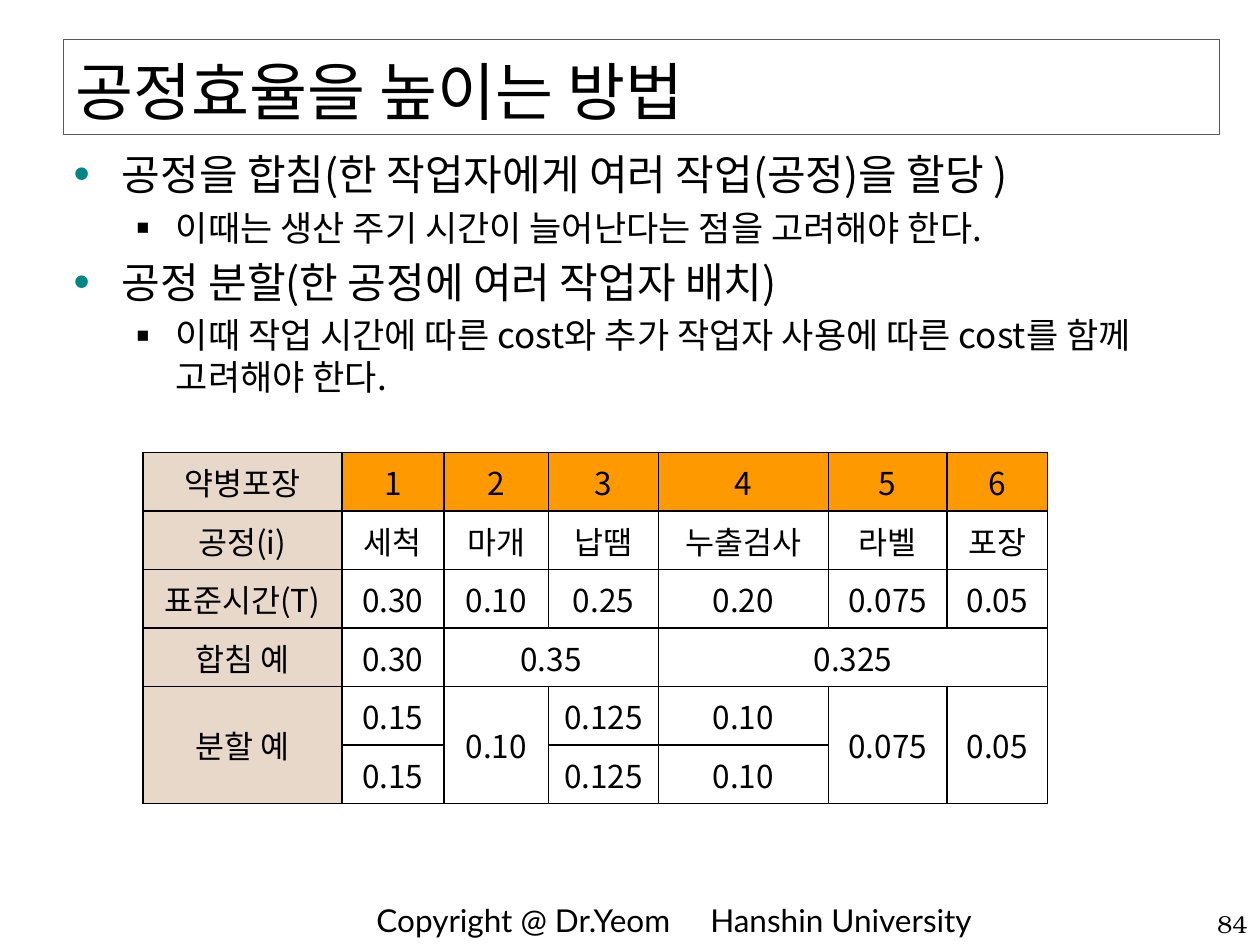
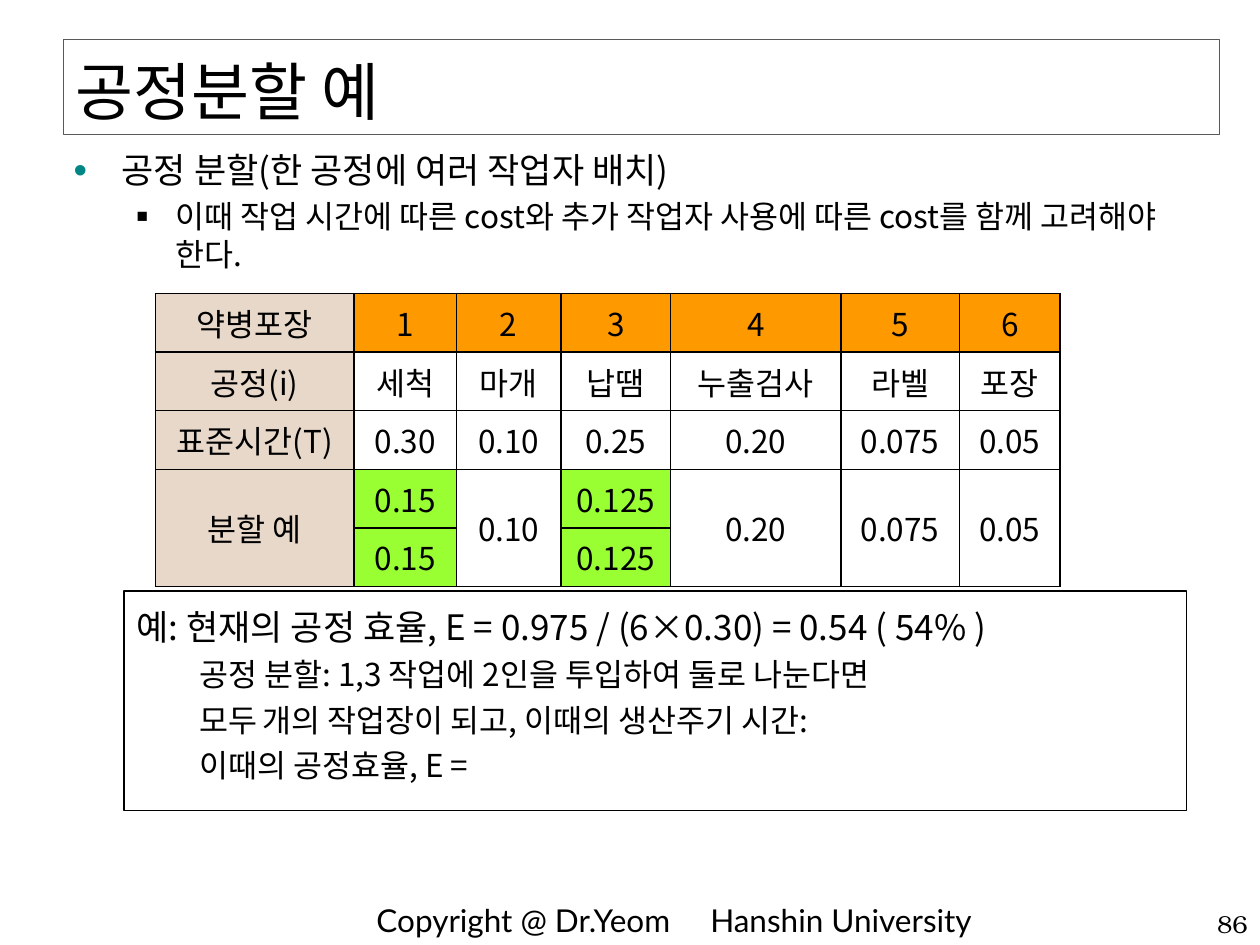
from lxml.etree import SubElement
from pptx import Presentation
from pptx.dml.color import RGBColor
from pptx.enum.shapes import MSO_SHAPE
from pptx.enum.text import MSO_ANCHOR, MSO_AUTO_SIZE, PP_ALIGN
from pptx.oxml.ns import qn
from pptx.util import Cm, Pt

SANS, FOOT, SERIF = "Noto Sans CJK KR", "Lato", "TeX Gyre Bonum"
BLACK, GRAY, WHITE = "000000", "595959", "FFFFFF"
TEAL, TAN, GOLD, LIME = "008685", "E8D8CA", "FF9900", "99FF33"
LEFT, MID, RIGHT, FULL = PP_ALIGN.LEFT, PP_ALIGN.CENTER, PP_ALIGN.RIGHT, PP_ALIGN.JUSTIFY

BULLETS = [("•", TEAL, 110, 0.97, -0.97), ("■", BLACK, 60, 2.06, -0.79)]
COLS = [4.01, 2.06, 2.11, 2.21, 3.43, 2.39, 2.03]
ROW = 1.18

SPLIT = [
    (0, "공정 분할(한 공정에 여러 작업자 배치)"),
    (1, "이때 작업 시간에 따른 cost와 추가 작업자 사용에 따른 cost를 함께 고려해야 한다."),
]
STEPS = [
    ["약병포장", "1", "2", "3", "4", "5", "6"],
    ["공정(i)", "세척", "마개", "납땜", "누출검사", "라벨", "포장"],
    ["표준시간(T)", "0.30", "0.10", "0.25", "0.20", "0.075", "0.05"],
]
PAGES = [
    {
        "title": "공정효율을 높이는 방법",
        "page": "84",
        "sizes": (24, 20),
        "points": [
            (0, "공정을 합침(한 작업자에게 여러 작업(공정)을 할당 )"),
            (1, "이때는 생산 주기 시간이 늘어난다는 점을 고려해야 한다."),
        ] + SPLIT,
        "spot": (2.88, 9.12),
        "rows": STEPS + [
            ["합침 예", "0.30", "0.35", "<", "0.325", "<", "<"],
            ["분할 예", "0.15", "0.10", "0.125", "0.10", "0.075", "0.05"],
            ["^", "0.15", "^", "0.125", "0.10", "^", "^"],
        ],
        "marked": (),
        "notes": [],
    },
    {
        "title": "공정분할 예",
        "page": "86",
        "sizes": (20, 18),
        "points": SPLIT,
        "spot": (3.13, 5.92),
        "rows": STEPS + [
            ["분할 예", "0.15", "0.10", "0.125", "0.20", "0.075", "0.05"],
            ["^", "0.15", "^", "0.125", "^", "^", "^"],
        ],
        "marked": ("0.15", "0.125"),
        "notes": [
            (0, "예: 현재의 공정 효율, E = 0.975 / (6×0.30) = 0.54 ( 54% )"),
            (1, "공정 분할: 1,3 작업에 2인을 투입하여 둘로 나눈다면"),
            (1, "모두\t개의 작업장이 되고, 이때의 생산주기 시간:"),
            (1, "이때의 공정효율, E ="),
        ],
    },
]


def tint(code):
    return RGBColor.from_string(code)


def place(shape, x, y, w, h):
    shape.left, shape.top, shape.width, shape.height = Cm(x), Cm(y), Cm(w), Cm(h)


def write(frame, text, size=18, face=SANS, align=LEFT, level=0, lead=None,
          gap=0, inset=None, bullet=None, tab=None):
    first = not frame.paragraphs[0].runs
    para = frame.paragraphs[0] if first else frame.add_paragraph()
    para.alignment, para.level = align, level
    para.space_before = Pt(0 if first else gap)
    if lead:
        para.line_spacing = lead
    props = para._p.get_or_add_pPr()
    if bullet:
        char, color, scale, margin, indent = bullet
        props.set("marL", str(Cm(margin)))
        props.set("indent", str(Cm(indent)))
        SubElement(SubElement(props, qn("a:buClr")), qn("a:srgbClr"), val=color)
        SubElement(props, qn("a:buSzPct"), val=str(scale * 1000))
        SubElement(props, qn("a:buFont"), typeface="Arial")
        SubElement(props, qn("a:buChar"), char=char)
    elif inset is not None:
        props.set("marL", str(Cm(inset)))
        props.set("indent", "0")
    if tab:
        stops = SubElement(props, qn("a:tabLst"))
        SubElement(stops, qn("a:tab"), pos=str(Cm(tab)), algn="l")
    run = para.add_run()
    run.text = text
    font = run.font
    font.size, font.name = Pt(size), face
    font.color.rgb = tint(BLACK)
    look = run._r.get_or_add_rPr()
    look.set("kern", "0")
    SubElement(look, qn("a:ea"), typeface=face)


def label(slide, spot, text, anchor, **form):
    box = slide.shapes.add_textbox(*map(Cm, spot))
    frame = box.text_frame
    frame.word_wrap, frame.vertical_anchor = True, anchor
    write(frame, text, **form)


def head(slide, text):
    title = slide.shapes.title
    place(title, 1.27, 0.79, 23.3, 1.92)
    title.line.color.rgb, title.line.width = tint(GRAY), Pt(0.1)
    frame = title.text_frame
    frame.auto_size, frame.vertical_anchor = MSO_AUTO_SIZE.NONE, MSO_ANCHOR.BOTTOM
    write(frame, text, size=36)


def outline(slide, page):
    body = slide.placeholders[1]
    place(body, 1.23, 2.87, 23.24, 15.14)
    frame = body.text_frame
    frame.auto_size = MSO_AUTO_SIZE.NONE
    for level, text in page["points"]:
        size = page["sizes"][level]
        write(frame, text, size=size, level=level, lead=1.0,
              gap=size * 0.2, bullet=BULLETS[level])


def edge(cell):
    props = cell._tc.get_or_add_tcPr()
    for side in ("a:lnL", "a:lnR", "a:lnT", "a:lnB"):
        line = SubElement(props, qn(side), w=str(Pt(1)))
        SubElement(SubElement(line, qn("a:solidFill")), qn("a:srgbClr"), val=BLACK)


def shade(row, col, text, marked):
    if col == 0:
        return TAN
    if row < 2:
        return (GOLD, WHITE)[row]
    return LIME if row > 2 and text in marked else None


def grid(slide, page):
    rows = page["rows"]
    x, y = page["spot"]
    table = slide.shapes.add_table(len(rows), len(COLS), Cm(x), Cm(y),
                                   Cm(sum(COLS)), Cm(ROW * len(rows))).table
    table.first_row = table.horz_banding = False
    for col, wide in zip(table.columns, COLS):
        col.width = Cm(wide)
    for row in table.rows:
        row.height = Cm(ROW)
    for r, row in enumerate(rows):
        for c, text in enumerate(row):
            cell = table.cell(r, c)
            edge(cell)
            fill = shade(r, c, text, page["marked"])
            if fill:
                cell.fill.solid()
                cell.fill.fore_color.rgb = tint(fill)
            else:
                cell.fill.background()
            if text in "<^":
                continue
            cell.vertical_anchor = MSO_ANCHOR.MIDDLE
            write(cell.text_frame, text, align=MID)
            wide = tall = 1
            while c + wide < len(row) and row[c + wide] == "<":
                wide += 1
            while r + tall < len(rows) and rows[r + tall][c] == "^":
                tall += 1
            if wide * tall > 1:
                cell.merge(table.cell(r + tall - 1, c + wide - 1))


def notes(slide, lines):
    box = slide.shapes.add_shape(MSO_SHAPE.RECTANGLE, Cm(2.5), Cm(11.92), Cm(21.42), Cm(4.42))
    box.shadow.inherit = False
    box.fill.background()
    box.line.color.rgb, box.line.width = tint(BLACK), Pt(1)
    frame = box.text_frame
    frame.word_wrap, frame.vertical_anchor = True, MSO_ANCHOR.TOP
    for level, text in lines:
        write(frame, text, size=(20, 18)[level], align=FULL, level=level, lead=1.2,
              inset=1.27 * level, tab=4.43 if "\t" in text else None)


def main():
    """Build the two slides on raising line efficiency."""
    deck = Presentation()
    deck.slide_width, deck.slide_height = Cm(25.4), Cm(19.05)
    for page in PAGES:
        slide = deck.slides.add_slide(deck.slide_layouts[1])
        head(slide, page["title"])
        outline(slide, page)
        label(slide, (7.34, 18.06, 13.5, 0.99), "Copyright @ Dr.Yeom\tHanshin University",
              MSO_ANCHOR.MIDDLE, face=FOOT, tab=6.73)
        label(slide, (22.43, 18.21, 2.97, 0.84), page["page"],
              MSO_ANCHOR.BOTTOM, size=14, face=SERIF, align=RIGHT)
        grid(slide, page)
        if page["notes"]:
            notes(slide, page["notes"])
    deck.save("out.pptx")


if __name__ == "__main__":
    main()
